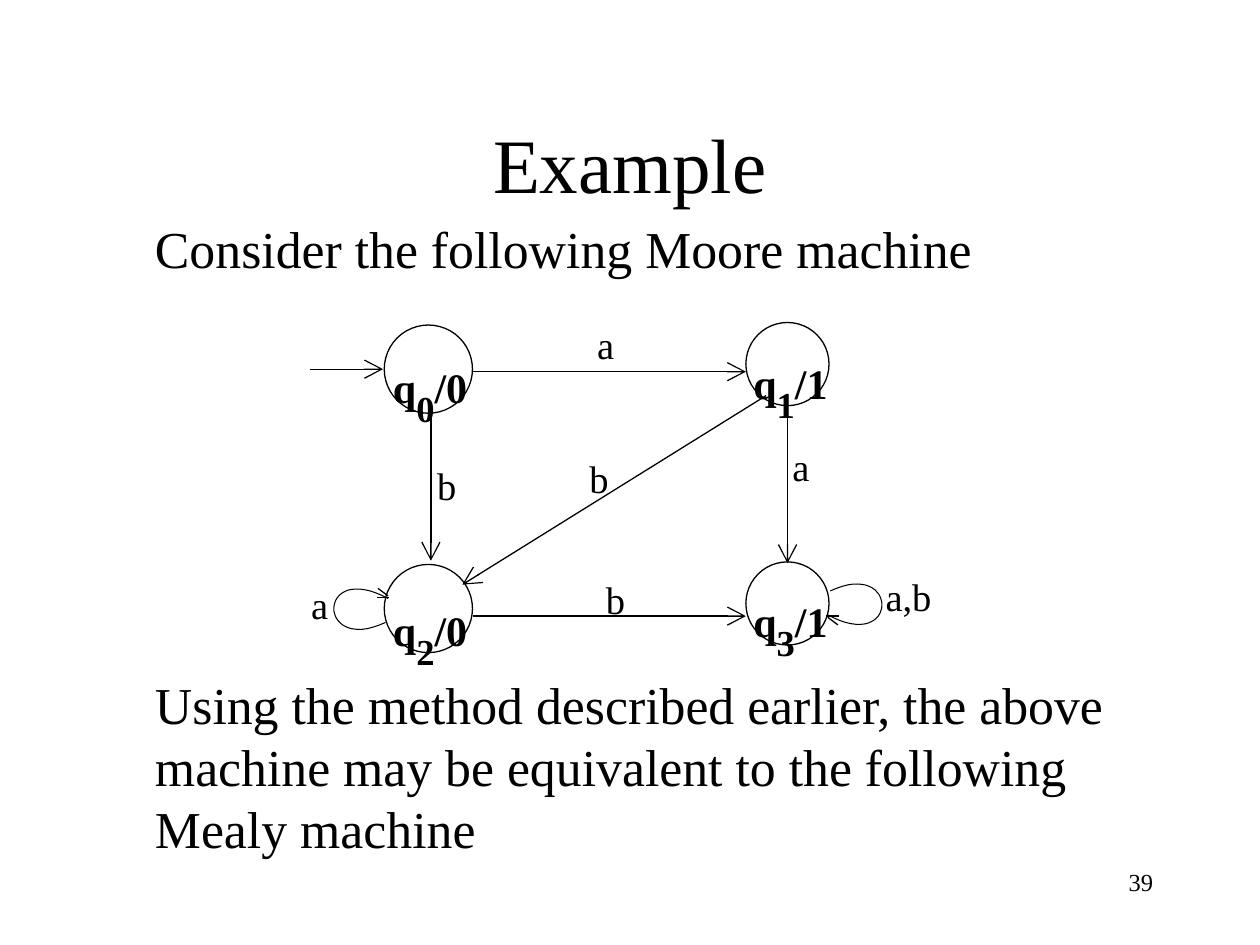
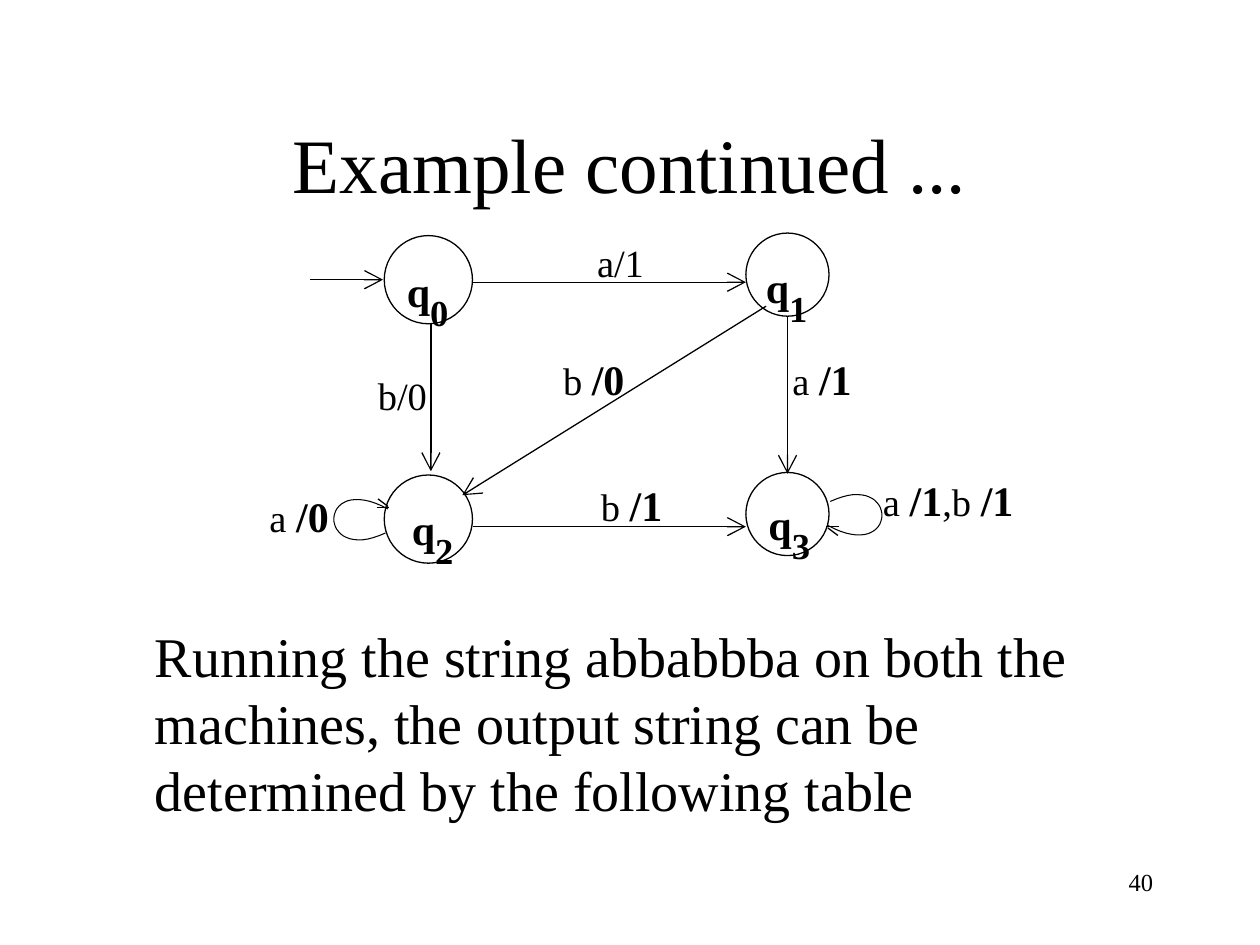
from lxml import etree
from pptx import Presentation
from pptx import util as u
from pptx.dml.color import RGBColor
from pptx.enum import shapes, text
from pptx.oxml.ns import qn

COLORS = {"ink": "000000", "paper": "FFFFFF"}
FONT = "Times New Roman"
STYLES = {
    "plain": {"size": u.Pt(22), "bold": False},
    "bold": {"size": u.Pt(24), "bold": True},
    "sub": {"size": u.Pt(36), "bold": True},
    "page": {"size": u.Pt(14)},
    "title": {"size": u.Pt(44)},
}
SUBSCRIPT = "-30000"
ARROWHEAD = {"type": "arrow", "w": "lg", "len": "lg"}


def state(index, output=""):
    runs = [("q", "bold"), (index, "sub")]
    return runs + [(output, "bold")] if output else runs


def edge(symbol, output=""):
    runs = [(symbol, "plain")]
    return runs + [(output, "bold")] if output else runs


# Content: label = left, top, runs; rise lifts the whole diagram
SLIDES = [
    {
        "title": "Example", "page": "39", "rise": 0, "size": 29.6, "body_inset": 0.05,
        "body": ["Consider the following Moore machine",
                 "Using the method described earlier, the above machine may be "
                 "equivalent to the following Mealy machine"],
        "gaps": [8, 225],
        "labels": [
            (3.02, 2.65, state("0", "/0")), (5.88, 2.62, state("1", "/1")),
            (3.02, 4.58, state("2", "/0")), (5.88, 4.51, state("3", "/1")),
            (4.64, 2.5, edge("a")), (3.37, 3.62, edge("b")), (4.58, 3.56, edge("b")),
            (6.19, 3.47, edge("a")), (4.71, 4.52, edge("b")),
            (2.37, 4.56, edge("a")), (6.93, 4.5, edge("a,b")),
        ],
    },
    {
        "title": "Example continued ...", "page": "40", "rise": 0.71, "size": 32,
        "body_inset": 3.26,
        "body": ["Running the string abbabbba on both the machines, the output "
                 "string can be determined by the following table"],
        "gaps": [8],
        "labels": [
            (3.13, 1.89, state("0")), (5.98, 1.86, state("1")),
            (3.17, 3.78, state("2")), (6, 3.74, state("3")),
            (4.64, 1.85, edge("a/1")), (2.9, 2.9, edge("b/0")),
            (4.37, 2.76, edge("b ", "/0")), (6.19, 2.76, edge("a ", "/1")),
            (4.67, 3.76, edge("b ", "/1")), (2.04, 3.84, edge("a ", "/0")),
            (6.91, 3.72, edge("a ", "/1") + edge(",b ", "/1")),
        ],
    },
]

# Shared diagram: circles = left, top, diameter; arrows = start, end
CIRCLES = [(3.05, 2.58, 0.7), (5.92, 2.56, 0.66), (3.05, 4.48, 0.7), (5.92, 4.46, 0.66)]
ARROWS = [
    ((2.46, 2.93), (3.04, 2.93)), ((3.75, 2.95), (5.92, 2.95)),
    ((3.42, 3.28), (3.42, 4.45)), ((6.25, 3.22), (6.25, 4.47)),
    ((6.08, 3.14), (3.67, 4.64)), ((3.75, 4.89), (5.92, 4.89)),
]
LOOP = [(6.59, 4.69), (7.14, 4.43), (7.14, 5.19), (6.57, 4.88)]
LOOP_BARBS = [[(6.57, 4.9), (6.65, 4.96)], [(6.66, 4.89), (6.56, 4.89)]]
MIRROR = (9.65, 9.63)  # the left loop is the right one turned half round
UNITS = 1000  # drawing units to the inch in an outline


def rgb(name):
    return RGBColor.from_string(COLORS[name])


def box(*lengths):
    return [u.Inches(length) for length in lengths]


def set_all(target, values):
    for name, value in values.items():
        setattr(target, name, value)


def add_run(paragraph, words, style):
    run = paragraph.add_run()
    run.text = words
    set_all(run.font, {"name": FONT, **style})
    run.font.color.rgb = rgb("ink")
    return run


def place(shape, left, top, width, height):
    sides = ("left", "top", "width", "height")
    set_all(shape, dict(zip(sides, box(left, top, width, height))))


def ink_line(shape, width=0.74):
    shape.line.color.rgb = rgb("ink")
    shape.line.width = u.Pt(width)


def add_text(slide, area, runs, align=text.PP_ALIGN.LEFT):
    frame = slide.shapes.add_textbox(*box(*area)).text_frame
    frame.word_wrap = True
    paragraph = frame.paragraphs[0]
    paragraph.alignment = align
    for words, style in runs:
        run = add_run(paragraph, words, STYLES[style])
        if style == "sub":
            run.font._element.set("baseline", SUBSCRIPT)


def add_arrow(slide, start, end):
    arrow = slide.shapes.add_connector(shapes.MSO_CONNECTOR.STRAIGHT, *box(*start, *end))
    ink_line(arrow)
    etree.SubElement(arrow.line._get_or_add_ln(), qn("a:tailEnd"), **ARROWHEAD)
    etree.SubElement(arrow._element.spPr, qn("a:effectLst"))


def add_outline(slide, points, width):
    (x, y), *rest = [(px * UNITS, py * UNITS) for px, py in points]
    builder = slide.shapes.build_freeform(x, y, scale=u.Inches(1) / UNITS)
    builder.add_line_segments(rest, close=False)
    outline = builder.convert_to_shape()
    outline.fill.background()
    outline.shadow.inherit = False
    ink_line(outline, width)


def bezier(controls, steps=32):
    points = []
    for step in range(steps + 1):
        t = step / steps
        weights = ((1 - t) ** 3, 3 * t * (1 - t) ** 2, 3 * t * t * (1 - t), t ** 3)
        points.append(tuple(sum(w * c[axis] for w, c in zip(weights, controls))
                            for axis in (0, 1)))
    return points


def add_diagram(slide, rise):
    for left, top, size in CIRCLES:
        circle = slide.shapes.add_shape(shapes.MSO_SHAPE.OVAL, *box(left, top - rise, size, size))
        circle.shadow.inherit = False
        circle.fill.solid()
        circle.fill.fore_color.rgb = rgb("paper")
        ink_line(circle)
    for (x1, y1), (x2, y2) in ARROWS:
        add_arrow(slide, (x1, y1 - rise), (x2, y2 - rise))
    for points, width in [(bezier(LOOP), 0.6)] + [(barb, 0.74) for barb in LOOP_BARBS]:
        add_outline(slide, [(x, y - rise) for x, y in points], width)
        add_outline(slide, [(MIRROR[0] - x, MIRROR[1] - y - rise) for x, y in points], width)


def fill_title(slide, words):
    title = slide.shapes.title
    place(title, 0.75, 0.67, 8.5, 1.25)
    set_all(title.text_frame, {"vertical_anchor": text.MSO_ANCHOR.MIDDLE,
                               "auto_size": text.MSO_AUTO_SIZE.NONE})
    paragraph = title.text_frame.paragraphs[0]
    paragraph.alignment = text.PP_ALIGN.CENTER
    add_run(paragraph, words, STYLES["title"])


def fill_body(slide, content):
    body = slide.placeholders[1]
    place(body, 0.75, 1.67, 8.5, 5.5)
    frame = body.text_frame
    set_all(frame, {"auto_size": text.MSO_AUTO_SIZE.NONE,
                    "margin_top": u.Inches(content["body_inset"])})
    for number, (words, gap) in enumerate(zip(content["body"], content["gaps"])):
        paragraph = frame.add_paragraph() if number else frame.paragraphs[0]
        set_all(paragraph, {"space_before": u.Pt(gap), "line_spacing": 1.0})
        properties = paragraph._p.get_or_add_pPr()
        properties.set("marL", str(u.Inches(0.38)))
        properties.set("indent", "0")
        etree.SubElement(properties, qn("a:buNone"))
        add_run(paragraph, words, {"size": u.Pt(content["size"])})


deck = Presentation()
deck.slide_width, deck.slide_height = box(10, 7.5)
for content in SLIDES:
    slide = deck.slides.add_slide(deck.slide_layouts[1])
    fill_title(slide, content["title"])
    fill_body(slide, content)
    add_diagram(slide, content["rise"])
    for left, top, runs in content["labels"]:
        width = 1.4 if len(runs) > 3 else 1.01
        add_text(slide, (left, top, width, 0.41), runs)
    add_text(slide, (7.17, 6.83, 2.08, 0.5), [(content["page"], "page")], text.PP_ALIGN.RIGHT)
deck.save("out.pptx")
